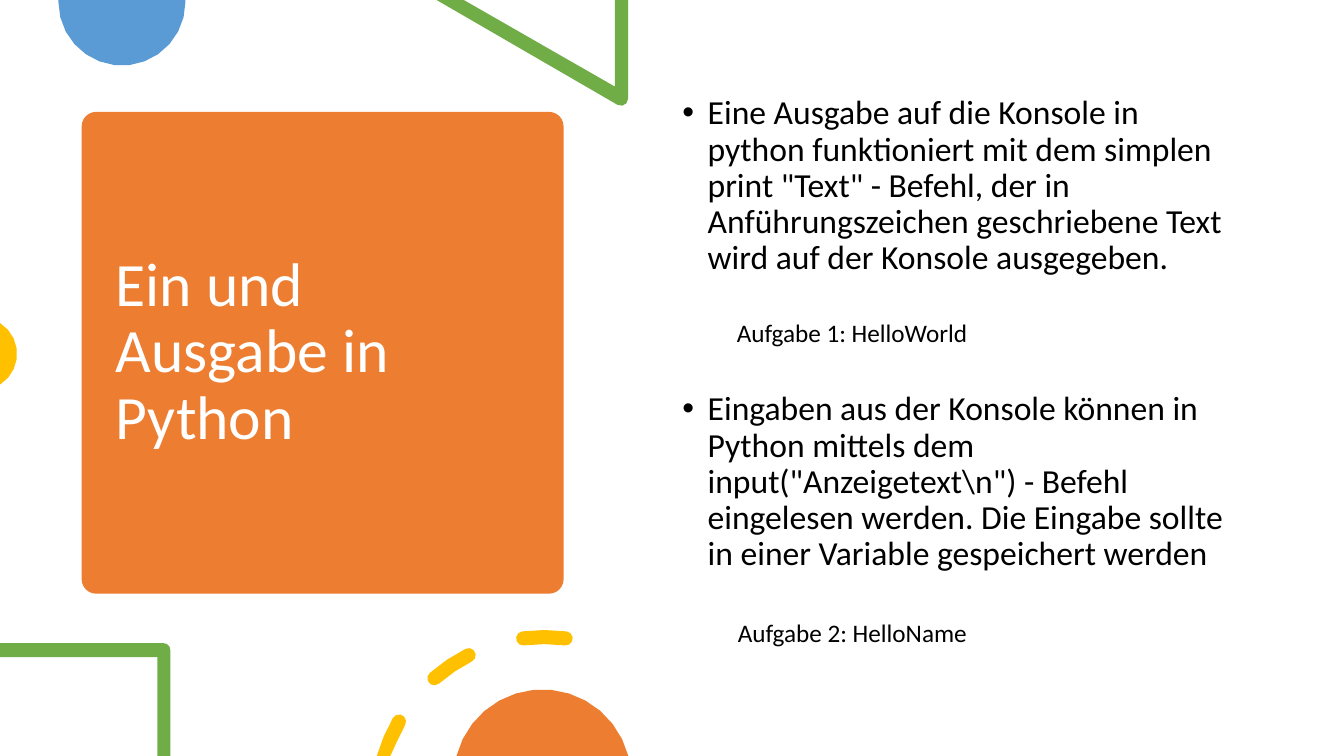
from dataclasses import dataclass
from math import acos, ceil, cos, degrees, radians, sin

from lxml.etree import SubElement
from pptx import Presentation
from pptx.dml.color import RGBColor
from pptx.enum.shapes import MSO_SHAPE
from pptx.enum.text import MSO_ANCHOR
from pptx.oxml.ns import qn
from pptx.util import Inches, Pt

ORANGE = RGBColor(0xED, 0x7D, 0x31)
BLUE = RGBColor(0x5B, 0x9B, 0xD5)
GREEN = RGBColor(0x70, 0xAD, 0x47)
YELLOW = RGBColor(0xFF, 0xC0, 0x00)
WHITE = RGBColor(0xFF, 0xFF, 0xFF)
BLACK = RGBColor(0, 0, 0)
FONT = "Calibri"
SLIDE_WIDTH, SLIDE_HEIGHT = 13.33, 7.5
FLATNESS = 0.01  # largest gap between an arc and its chords, in inches

Point = tuple[float, float]
Contour = list[Point]


@dataclass
class Ornament:
    color: RGBColor
    contours: list[Contour]


@dataclass
class TextBlock:
    left: float
    top: float
    width: float
    height: float
    paragraphs: list[str]
    size: int
    color: RGBColor = BLACK
    anchor: MSO_ANCHOR = MSO_ANCHOR.TOP
    line_spacing: float = 1.0
    gap: int = 0
    bulleted: bool = False


def arc(cx: float, cy: float, radius: float, start: float, end: float) -> Contour:
    """Points on a circle; degrees run clockwise from the right."""
    widest_step = 2 * degrees(acos(1 - FLATNESS / 2 / radius))
    steps = ceil(abs(end - start) / widest_step)
    angles = [radians(start + (end - start) * i / steps) for i in range(steps + 1)]
    return [(cx + radius * cos(a), cy + radius * sin(a)) for a in angles]


def ring_dash(start: float, end: float) -> Contour:
    """A round-ended dash of the ring, cut at the slide's bottom edge."""
    cx, cy, radius, half = 5.4, 7.98, 1.66, 0.07
    (start_x, start_y), *_, (end_x, end_y) = arc(cx, cy, radius, start, end)
    points = (
        arc(cx, cy, radius + half, start, end)
        + arc(end_x, end_y, half, end, end + 180)[1:]
        + arc(cx, cy, radius - half, end, start)[1:]
        + arc(start_x, start_y, half, start + 180, start + 360)[1:-1]
    )
    return [(x, min(y, SLIDE_HEIGHT)) for x, y in points]


def draw_ornament(shapes, ornament: Ornament) -> None:
    builder = None
    for contour in ornament.contours:
        points = [(Inches(x), Inches(y)) for x, y in contour]
        if builder is None:
            builder = shapes.build_freeform(*points[0])
        else:
            builder.move_to(*points[0])
        builder.add_line_segments(points[1:], close=True)
    paint(builder.convert_to_shape(), ornament.color)


def paint(shape, color: RGBColor) -> None:
    shape.shadow.inherit = False
    shape.fill.solid()
    shape.fill.fore_color.rgb = color
    shape.line.fill.background()


def add_bullet(paragraph) -> None:
    properties = paragraph._p.get_or_add_pPr()
    properties.set("marL", str(Inches(0.25)))
    properties.set("indent", str(-Inches(0.25)))
    SubElement(properties, qn("a:buFont")).set("typeface", "Arial")
    SubElement(properties, qn("a:buChar")).set("char", "•")


def draw_text(shapes, block: TextBlock) -> None:
    box = shapes.add_textbox(*map(Inches, (block.left, block.top, block.width, block.height)))
    frame = box.text_frame
    frame.word_wrap = True
    frame.vertical_anchor = block.anchor
    for index, text in enumerate(block.paragraphs):
        paragraph = frame.add_paragraph() if index else frame.paragraphs[0]
        paragraph.text = text
        if block.bulleted:
            add_bullet(paragraph)
        if index:
            paragraph.space_before = Pt(block.gap)
        paragraph.line_spacing = block.line_spacing
        paragraph.font.name = FONT
        paragraph.font.size = Pt(block.size)
        paragraph.font.color.rgb = block.color


ORNAMENTS = [
    # Blue half disc, green triangle and yellow disc edge
    Ornament(BLUE, [[(1.84, 0), (0.58, 0)] + arc(1.21, 0.02, 0.63, 180, 0)]),
    Ornament(GREEN, [[(6.23, 0), (6.1, 0), (6.1, 0.86), (4.6, 0), (4.33, 0)]
                     + arc(6.16, 0.98, 0.07, 120, 0)]),
    Ornament(YELLOW, [arc(-0.19, 3.51, 0.36, -58, 58)]),
    # Green frame, dashed ring and orange dome
    Ornament(GREEN, [[(0, 6.38), (0, 6.52), (1.56, 6.52), (1.56, 7.5), (1.69, 7.5)]
                     + arc(1.62, 6.45, 0.07, 0, -90)]),
    Ornament(YELLOW, [ring_dash(196, 209.7), ring_dash(228.9, 243.1),
                      ring_dash(262.7, 277.3)]),
    Ornament(ORANGE, [arc(5.38, 7.72, 0.88, 194.5, 345.5)]),
]

TITLE = TextBlock(1.05, 1.22, 4.2, 4.56, ["Ein und Ausgabe in Python"], 44, WHITE,
                  MSO_ANCHOR.MIDDLE, 0.9)
EXPLANATION = TextBlock(
    6.67, 0.9, 5.75, 5.35,
    [
        'Eine Ausgabe auf die Konsole in python funktioniert mit dem simplen print "Text" '
        "- Befehl, der in Anführungszeichen geschriebene Text wird auf der Konsole ausgegeben.",
        'Eingaben aus der Konsole können in Python mittels dem input("Anzeigetext\\n") '
        "- Befehl eingelesen werden. Die Eingabe sollte in einer Variable gespeichert werden",
    ],
    24, line_spacing=0.9, gap=82, bulleted=True,
)
TASKS = [
    TextBlock(7.21, 3.1, 3.58, 0.4, ["Aufgabe 1: HelloWorld"], 18),
    TextBlock(7.22, 6.08, 3.58, 0.4, ["Aufgabe 2: HelloName"], 18),
]


def main() -> None:
    presentation = Presentation()
    presentation.slide_width = Inches(SLIDE_WIDTH)
    presentation.slide_height = Inches(SLIDE_HEIGHT)
    shapes = presentation.slides.add_slide(presentation.slide_layouts[6]).shapes

    # Title panel
    panel = shapes.add_shape(MSO_SHAPE.ROUNDED_RECTANGLE, Inches(0.81), Inches(1.11),
                             Inches(4.78), Inches(4.78))
    panel.adjustments[0] = 0.03
    paint(panel, ORANGE)

    # Ornaments around the panel
    for ornament in ORNAMENTS:
        draw_ornament(shapes, ornament)

    # Title, explanation and tasks
    for block in [TITLE, EXPLANATION, *TASKS]:
        draw_text(shapes, block)

    presentation.save("out.pptx")


if __name__ == "__main__":
    main()
